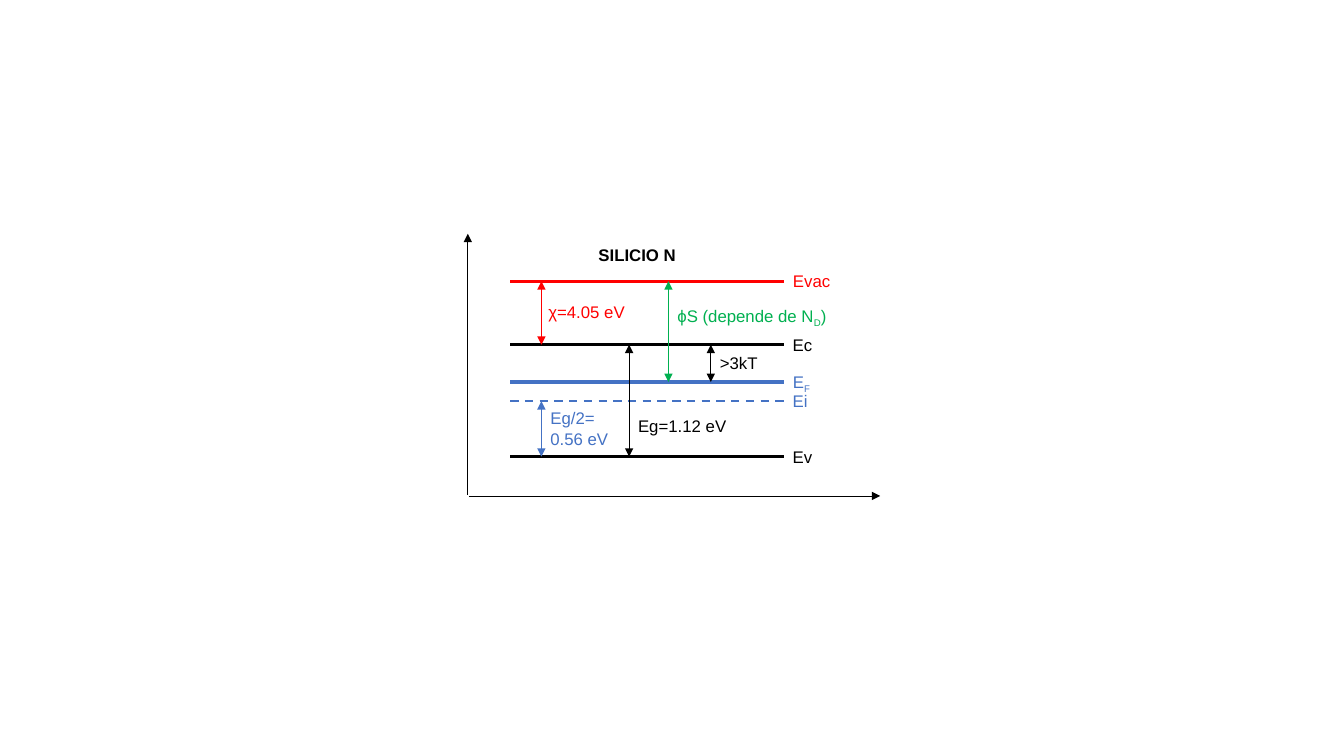
import pptx
import pptx.util
import pptx.dml.color
import pptx.enum.dml
import pptx.enum.shapes
import pptx.enum.text
import pptx.oxml.ns
import lxml.etree

Inches = pptx.util.Inches
RGBColor = pptx.dml.color.RGBColor
BLACK = RGBColor(0x00, 0x00, 0x00)
RED = RGBColor(0xFF, 0x00, 0x00)
BLUE = RGBColor(0x44, 0x72, 0xC4)
GREEN = RGBColor(0x00, 0xB0, 0x50)
LEFT = pptx.enum.text.PP_ALIGN.LEFT
CENTER = pptx.enum.text.PP_ALIGN.CENTER

# Heights of the energy levels
EVAC, EC, EF, EI, EV = 2.79, 3.42, 3.79, 3.98, 4.53


class Diagram:
    """Style and element methods for the current slide."""

    font = "Arial"
    size = pptx.util.Pt(12)
    thin = 0.5

    def __init__(self, s):
        self.s = s

    def line(self, start, end, color, width, dashed=False, ends=()):
        c = self.s.shapes.add_connector(
            pptx.enum.shapes.MSO_CONNECTOR.STRAIGHT,
            *(Inches(v) for v in (*start, *end)))
        c.line.color.rgb = color
        c.line.width = pptx.util.Pt(width)
        if dashed:
            c.line.dash_style = pptx.enum.dml.MSO_LINE.DASH
        sp_pr = c._element.spPr
        ln = sp_pr.find(pptx.oxml.ns.qn("a:ln"))
        for end_tag in ends:
            arrowhead = lxml.etree.SubElement(ln, pptx.oxml.ns.qn(end_tag))
            arrowhead.set("type", "triangle")
        lxml.etree.SubElement(sp_pr, pptx.oxml.ns.qn("a:effectLst"))

    def axis(self, start, end):
        self.line(start, end, BLACK, self.thin, ends=("a:tailEnd",))

    def level(self, y, color, width=2.25, dashed=False):
        self.line((5.06, y), (7.78, y), color, width, dashed)

    def gap(self, x, top, bottom, color):
        self.line((x, top), (x, bottom), color, self.thin,
                  ends=("a:headEnd", "a:tailEnd"))

    def fill_text(self, tf, text, color, align, bold=False, sub="", after=""):
        tf.text = text
        tf.word_wrap = False
        tf.vertical_anchor = pptx.enum.text.MSO_ANCHOR.TOP
        tf.auto_size = pptx.enum.text.MSO_AUTO_SIZE.SHAPE_TO_FIT_TEXT
        if sub:
            r = tf.paragraphs[-1].add_run()
            r.text = sub
            r._r.get_or_add_rPr().set("baseline", "-25000")
        if after:
            r = tf.paragraphs[-1].add_run()
            r.text = after
        for p in tf.paragraphs:
            p.alignment = align
            for r in p.runs:
                r.font.name = self.font
                r.font.size = self.size
                r.font.bold = bold
                r.font.color.rgb = color

    def label(self, x, y, w, text, color, align=LEFT, h=0.3, **style):
        sp = self.s.shapes.add_textbox(
            Inches(x), Inches(y), Inches(w), Inches(h))
        self.fill_text(sp.text_frame, text, color, align, **style)

    def title(self, x, y, w, h, text):
        sp = self.s.shapes.title
        sp.left, sp.top, sp.width, sp.height = map(Inches, (x, y, w, h))
        self.fill_text(sp.text_frame, text, BLACK, CENTER, bold=True)


def main():
    prs = pptx.Presentation()
    prs.slide_width, prs.slide_height = Inches(13.33), Inches(7.5)
    d = Diagram(prs.slides.add_slide(prs.slide_layouts[5]))

    # Title and axes
    d.title(5.83, 2.38, 0.98, 0.3, "SILICIO N")
    d.axis((4.64, 4.91), (4.64, 2.32))
    d.axis((4.65, 4.92), (8.73, 4.92))

    # Energy levels with their names
    d.level(EI, BLUE, 1.5, dashed=True)
    for y, color in ((EVAC, RED), (EC, BLACK), (EV, BLACK), (EF, BLUE)):
        d.level(y, color)
    for y, w, text, color, sub in (
            (EVAC, 0.58, "Evac", RED, ""),
            (EC, 0.4, "Ec", BLACK, ""),
            (EF, 0.38, "E", BLUE, "F"),
            (EI, 0.35, "Ei", BLUE, ""),
            (EV, 0.4, "Ev", BLACK, "")):
        d.label(7.76, y - 0.15, w, text, color, CENTER, sub=sub)

    # Energy gaps between levels
    for x, top, bottom, color in (
            (5.37, EVAC, EC, RED),
            (7.05, EC, EF, BLACK),
            (5.37, EI, EV, BLUE),
            (6.24, EC, EV, BLACK),
            (6.63, EVAC, EF, GREEN)):
        d.gap(x, top, bottom, color)

    # Gap values
    d.label(5.34, 2.94, 0.97, "χ=4.05 eV", RED)
    d.label(7.04, 3.45, 0.58, ">3kT", BLACK)
    d.label(5.36, 4, 0.78, "Eg/2=\n0.56 eV", BLUE, h=0.5)
    d.label(6.23, 4.08, 1.08, "Eg=1.12 eV", BLACK)
    d.label(6.62, 2.98, 1.74, "ϕS (depende de N", GREEN, sub="D", after=")")

    prs.save("out.pptx")


if __name__ == "__main__":
    main()
